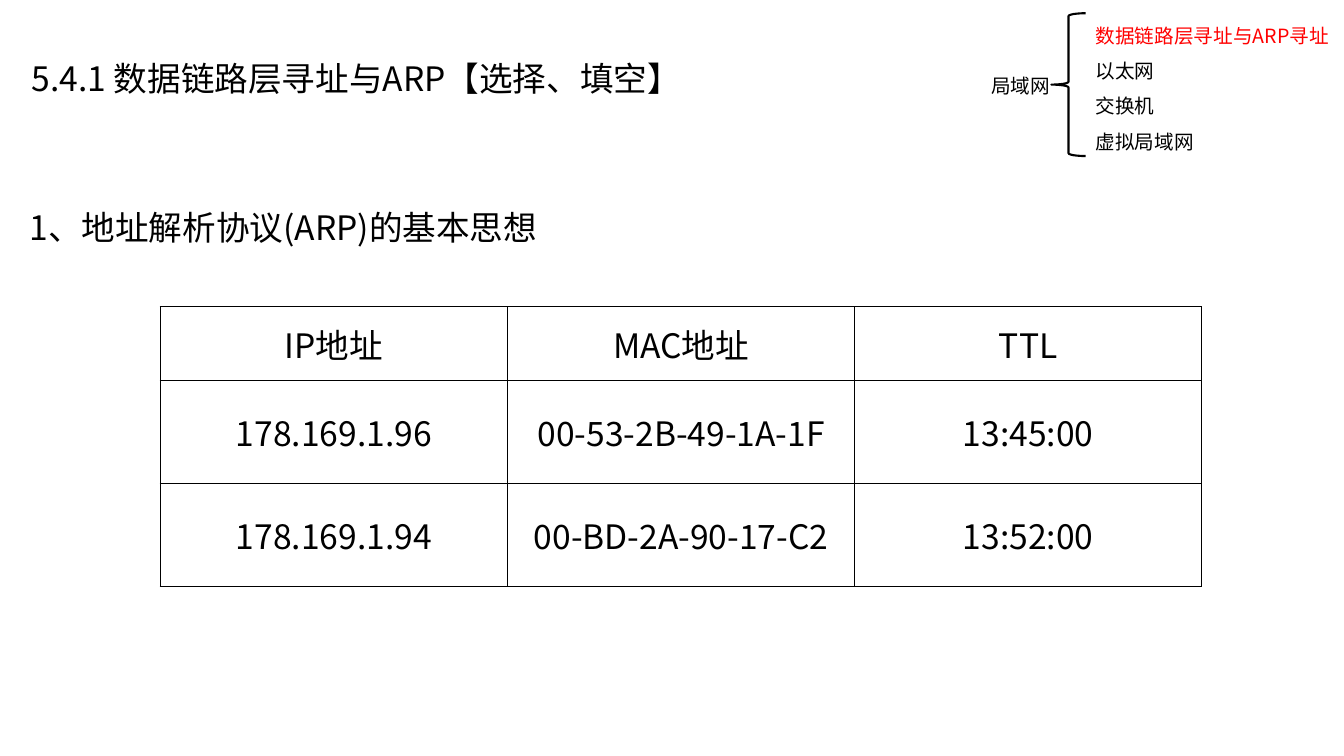
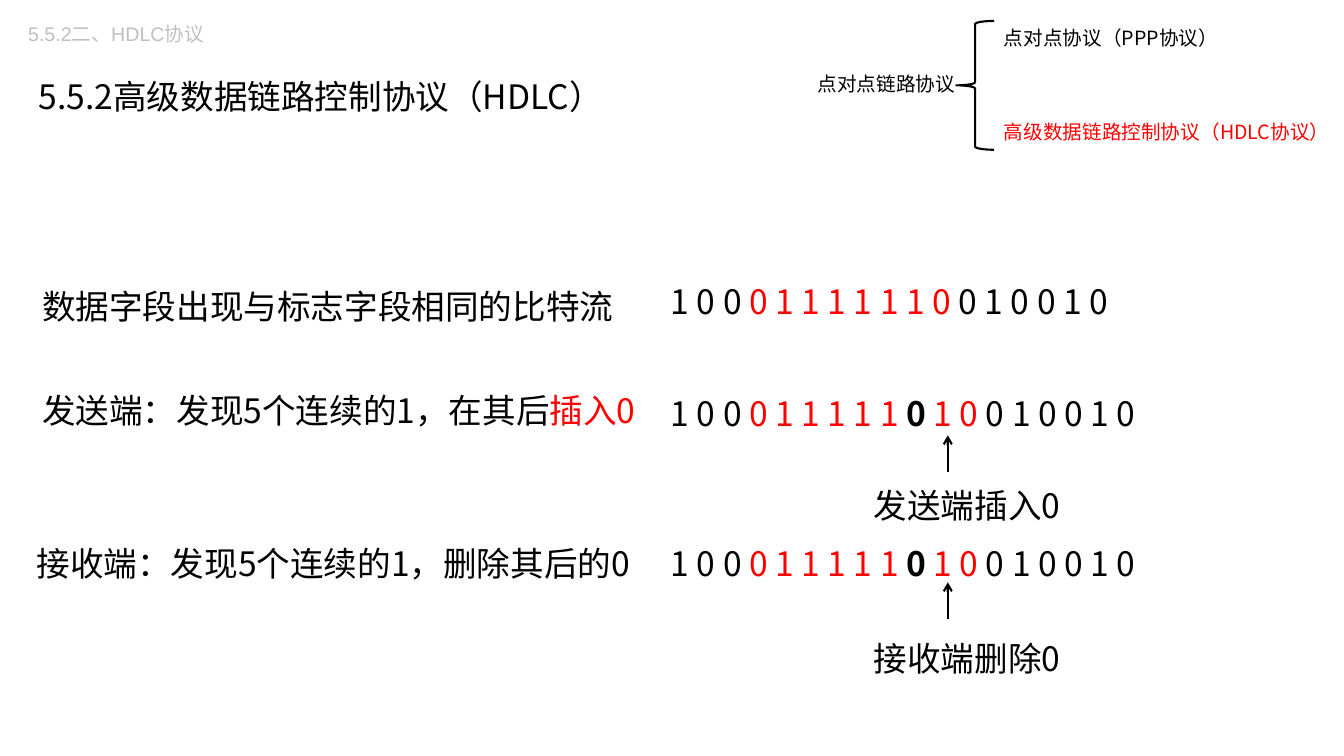
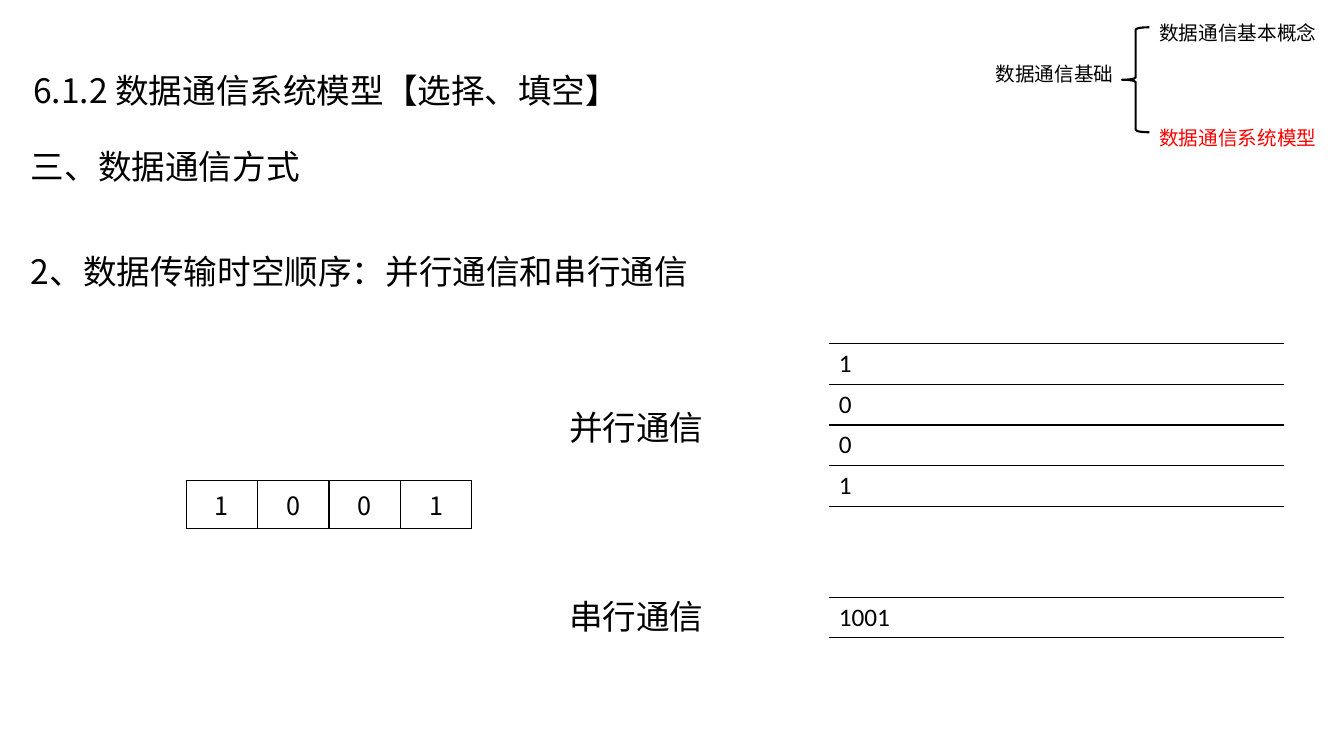
from lxml import etree
from pptx import Presentation
from pptx.dml.color import RGBColor
from pptx.enum.shapes import MSO_CONNECTOR as CONN, MSO_SHAPE as SHAPE
from pptx.enum.text import MSO_ANCHOR as ANCHOR, PP_ALIGN as ALIGN
from pptx.oxml.ns import qn
from pptx.util import Pt

BLACK = RGBColor(0x00, 0x00, 0x00)
RED = RGBColor(0xFF, 0x00, 0x00)
GREY = RGBColor(0xBF, 0xBF, 0xBF)
CJK = "Noto Sans CJK SC"


def write(host, paras, box=None, size=24, font=CJK, color=BLACK, spacing=None,
          gap=0, align=None, anchor=None, inset=None):
    """Write paragraphs of (text, colour, bold) runs in a cell, or in a new box on a slide."""
    tf = host.shapes.add_textbox(*map(Pt, box)).text_frame if box else host.text_frame
    tf.word_wrap = True
    if anchor is not None:
        tf.vertical_anchor = anchor
    if inset:
        tf.margin_left = tf.margin_right = Pt(inset[0])
        tf.margin_top = tf.margin_bottom = Pt(inset[1])
    for i, runs in enumerate(paras):
        p = tf.paragraphs[0] if i == 0 else tf.add_paragraph()
        p.alignment = align
        if spacing:
            p.line_spacing = spacing
        if i and gap:
            p.space_before = Pt(gap)
        for run in [(runs,)] if isinstance(runs, str) else runs:
            r = p.add_run()
            r.text = run[0]
            r.font.size = Pt(size)
            r.font.name = font
            r.font.color.rgb = run[1] if len(run) > 1 else color
            r.font.bold = len(run) > 2
            etree.SubElement(r.font._element, qn("a:ea"), typeface=font)


def table(s, x, y, widths, heights, rows, sides="LRTB", **fmt):
    """Add an unfilled table with 1 pt lines on the given sides of each cell."""
    tbl = s.shapes.add_table(len(heights), len(widths), Pt(x), Pt(y),
                             Pt(sum(widths)), Pt(sum(heights))).table
    tbl.first_row = tbl.horz_banding = False
    for col, w in zip(tbl.columns, widths):
        col.width = Pt(w)
    for row, h, values in zip(tbl.rows, heights, rows):
        row.height = Pt(h)
        for cell, value in zip(row.cells, values):
            write(cell, [value], **fmt)
            if "anchor" in fmt:
                cell.vertical_anchor = fmt["anchor"]
            pr = cell._tc.get_or_add_tcPr()
            for side in "LRTB":
                shown = side in sides
                ln = etree.SubElement(pr, qn("a:ln" + side), w=str(Pt(1) if shown else 0))
                fill = etree.SubElement(ln, qn("a:solidFill" if shown else "a:noFill"))
                if shown:
                    etree.SubElement(fill, qn("a:srgbClr"), val=str(BLACK))
            cell.fill.background()


prs = Presentation()
prs.slide_width, prs.slide_height = Pt(960), Pt(540)

# Title and chapter outline of each slide: title, label, brace, topics
HEADERS = [
    ("5.4.1 数据链路层寻址与ARP【选择、填空】", (14, 11, 524, 75),
     "局域网", (701, 49, 99, 24), (751, 9.5, 24.5, 102), (775.5, 5, 189, 109),
     ["数据链路层寻址与ARP寻址", "以太网", "交换机", "虚拟局域网"], 0, 1.5, 0),
    ("5.5.2高级数据链路控制协议（HDLC）", (19, 24, 475, 75),
     "点对点链路协议", (577, 48, 120, 24), (683, 15, 27, 92), (710, 15, 250, 92),
     ["点对点协议（PPP协议）", "高级数据链路控制协议（HDLC协议）"], 1, None, 50),
    ("6.1.2 数据通信系统模型【选择、填空】", (15, 19.5, 468, 75),
     "数据通信基础", (704, 41, 107, 24), (801.5, 19.5, 19.5, 75), (821, 3, 145, 109),
     ["数据通信基本概念", "数据通信系统模型"], 1, 1.5, 50),
]
slides = []
for title, title_box, label, label_box, brace_box, list_box, topics, current, spacing, gap in HEADERS:
    s = prs.slides.add_slide(prs.slide_layouts[6])
    slides.append(s)
    write(s, [title], title_box, spacing=1.5, anchor=ANCHOR.MIDDLE, inset=(8.64, 4.32))
    write(s, [label], label_box, size=14)
    sp = s.shapes.add_shape(SHAPE.LEFT_BRACE, *map(Pt, brace_box))
    sp.shadow.inherit = False
    sp.fill.background()
    sp.line.color.rgb = BLACK
    sp.line.width = Pt(1.5)
    write(s, [[(t, RED if i == current else BLACK)] for i, t in enumerate(topics)],
          list_box, size=14, spacing=spacing, gap=gap)
arp, hdlc, modes = slides
CENTRED = dict(align=ALIGN.CENTER, anchor=ANCHOR.MIDDLE)

# ARP table
write(arp, ["1、地址解析协议(ARP)的基本思想"], (14, 130, 946, 46), spacing=1.5)
table(arp, 114.5, 219, [248] * 3, [53, 73.5, 73.5], [
    ("IP地址", "MAC地址", "TTL"),
    ("178.169.1.96", "00-53-2B-49-1A-1F", "13:45:00"),
    ("178.169.1.94", "00-BD-2A-90-17-C2", "13:52:00"),
], **CENTRED)

# HDLC bit stuffing: explanation on the left, bits on the right
write(hdlc, ["5.5.2二、HDLC协议"], (13, 12, 140, 24), size=14, font="Arial", color=GREY)
stuffed = [("1 0 0 ",), ("0 1 1 1 1 1 ", RED), ("0", BLACK, True),
           (" 1 0 ", RED), ("0 1 0 0 1 0",)]
STEPS = [
    (23, 186.5, "数据字段出现与标志字段相同的比特流", 197,
     [("1 0 0 ",), ("0 1 1 1 1 1 1 0 ", RED), ("0 1 0 0 1 0",)]),
    (23, 260.5, [("发送端：发现5个连续的1，在其后",), ("插入0", RED)], 277, stuffed),
    (19, 370, "接收端：发现5个连续的1，删除其后的0", 384, stuffed),
]
for x, y, note, bits_y, bits in STEPS:
    write(hdlc, [note], (x, y, 449, 51), spacing=1.5)
    write(hdlc, [bits], (472, bits_y, 413, 36))
for tip_y, caption_y, caption in [(311, 343, "发送端插入0"), (416, 452, "接收端删除0")]:
    write(hdlc, [caption], (617, caption_y, 180, 36))
    arrow = hdlc.shapes.add_connector(CONN.STRAIGHT, Pt(677), Pt(tip_y + 26), Pt(677), Pt(tip_y))
    arrow.line.color.rgb = BLACK
    arrow.line.width = Pt(1.5)
    etree.SubElement(arrow.line._get_or_add_ln(), qn("a:tailEnd"), type="arrow")
    etree.SubElement(arrow._element.spPr, qn("a:effectLst"))

# Parallel and serial communication
write(modes, ["三、数据通信方式"], (15, 86.5, 208, 46), spacing=1.5)
write(modes, ["2、数据传输时空顺序：并行通信和串行通信"], (15, 161, 902, 46), spacing=1.5)
write(modes, ["并行通信"], (399.5, 287, 112, 36))
write(modes, ["串行通信"], (399.5, 408, 112, 46), spacing=1.5)
table(modes, 133, 343.5, [51] * 4, [34], ["1001"], size=18, **CENTRED)
for y, rows in [(245.5, ["1", "0", "0", "1"]), (426.5, [["1001"]])]:
    table(modes, 592, y, [325], [29] * len(rows), rows, sides="TB", size=18, font="Calibri")

prs.save("out.pptx")
